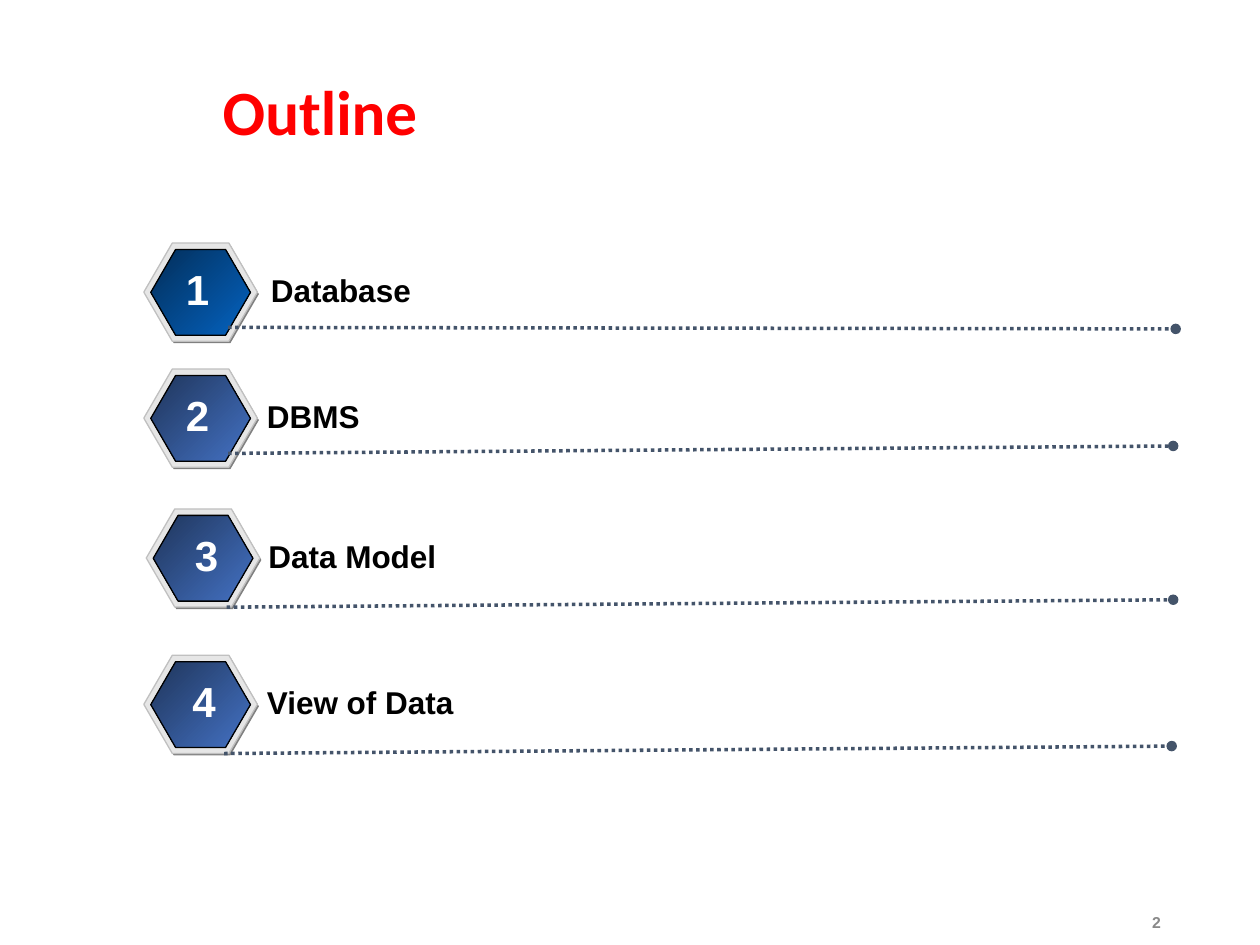
from dataclasses import dataclass

from lxml.etree import SubElement
from pptx import Presentation
from pptx.dml.color import RGBColor as Rgb
from pptx.enum.dml import MSO_LINE as Dash
from pptx.enum.shapes import MSO_CONNECTOR as Link, MSO_SHAPE as Shape
from pptx.enum.text import MSO_ANCHOR as Anchor, PP_ALIGN as Align
from pptx.oxml.ns import qn
from pptx.util import Cm, Pt

HUES = {
    "title": "FF0000", "text": "000000", "digit": "FFFFFF", "page": "898989",
    "shade": "808080", "rim": "E6E6E6", "edge": "C0C0C0", "line": "44546A",
    "navy": "022E59", "blue": "0563C1", "dusk": "1F355B", "sky": "4472C4",
}


@dataclass
class Item:
    text: str
    left: float      # badge corner
    top: float
    digit: float     # left of the number
    label: float     # left and width of the label
    width: float
    start: tuple     # dotted line
    end: tuple
    fade: tuple = ("dusk", "sky")


ITEMS = [
    Item("Database", 2.9, 4.9, 3.45, 5.21, 18.54,
         (4.6, 6.6), (23.7, 6.63), ("navy", "blue")),
    Item("DBMS", 2.9, 7.44, 3.45, 5.13, 17.78, (4.6, 9.14), (23.65, 8.99)),
    Item("Data Model", 2.95, 10.26, 3.63, 5.16, 17.78,
         (4.57, 12.24), (23.65, 12.09)),
    Item("View of Data", 2.9, 13.21, 3.58, 5.13, 17.78,
         (4.52, 15.19), (23.62, 15.04)),
]


def hue(name: str) -> Rgb:
    return Rgb.from_string(HUES[name])


def write(slide, text: str, box: tuple, size: float, color: str,
          face: str = "Arial", align=Align.LEFT, anchor=Anchor.TOP):
    frame = slide.shapes.add_textbox(*map(Cm, box)).text_frame
    frame.word_wrap = True
    frame.vertical_anchor = anchor
    para = frame.paragraphs[0]
    para.text = text
    para.alignment = align
    font = para.font
    font.name, font.size, font.bold = face, Pt(size), True
    font.color.rgb = hue(color)
    return para


def hexagon(group, box: tuple, fill: tuple, edge: str = ""):
    hexa = group.shapes.add_shape(Shape.HEXAGON, *map(Cm, box))
    hexa.shadow.inherit = False
    hexa.adjustments[0] = 0.29
    if len(fill) == 1:
        hexa.fill.solid()
        hexa.fill.fore_color.rgb = hue(fill[0])
    else:
        hexa.fill.gradient()
        hexa.fill.gradient_angle = 315
        for stop, name in zip(hexa.fill.gradient_stops, fill):
            stop.color.rgb = hue(name)
    if edge:
        hexa.line.color.rgb = hue(edge)
        hexa.line.width = Pt(0.75)
    else:
        hexa.line.fill.background()


def badge(slide, item: Item):
    x, y = item.left, item.top
    group = slide.shapes.add_group_shape()
    hexagon(group, (x + 0.03, y + 0.04, 2.29, 1.98), ("shade",))
    hexagon(group, (x, y, 2.29, 1.98), ("rim",), "edge")
    hexagon(group, (x + 0.14, y + 0.13, 2.01, 1.73), item.fade, "text")


def dots(slide, start: tuple, end: tuple):
    rule = slide.shapes.add_connector(Link.STRAIGHT, *map(Cm, start + end))
    rule.line.color.rgb = hue("line")
    rule.line.width = Pt(2)
    rule.line.dash_style = Dash.ROUND_DOT
    props = rule.element.spPr
    SubElement(props.find(qn("a:ln")), qn("a:tailEnd"), type="oval")
    SubElement(props, qn("a:effectLst"))


def main():
    deck = Presentation()
    deck.slide_width, deck.slide_height = Cm(25.4), Cm(19.05)
    slide = deck.slides.add_slide(deck.slide_layouts[6])

    # Title
    title = write(slide, "Outline", (4.24, 1.02, 19.41, 2.62), 36, "title",
                  "Calibri", anchor=Anchor.MIDDLE)
    title.line_spacing = 0.9

    # Numbered topics
    for num, item in enumerate(ITEMS, 1):
        badge(slide, item)
        dots(slide, item.start, item.end)
        write(slide, item.text, (item.label, item.top + 0.44, item.width, 1.02),
              18, "text")
        write(slide, str(num), (item.digit, item.top + 0.28, 1.07, 1.27),
              24, "digit", align=Align.CENTER)

    # Page number
    write(slide, "2", (17.93, 18.14, 5.72, 0.91), 9, "page",
          align=Align.RIGHT, anchor=Anchor.MIDDLE)

    deck.save("out.pptx")


if __name__ == "__main__":
    main()
